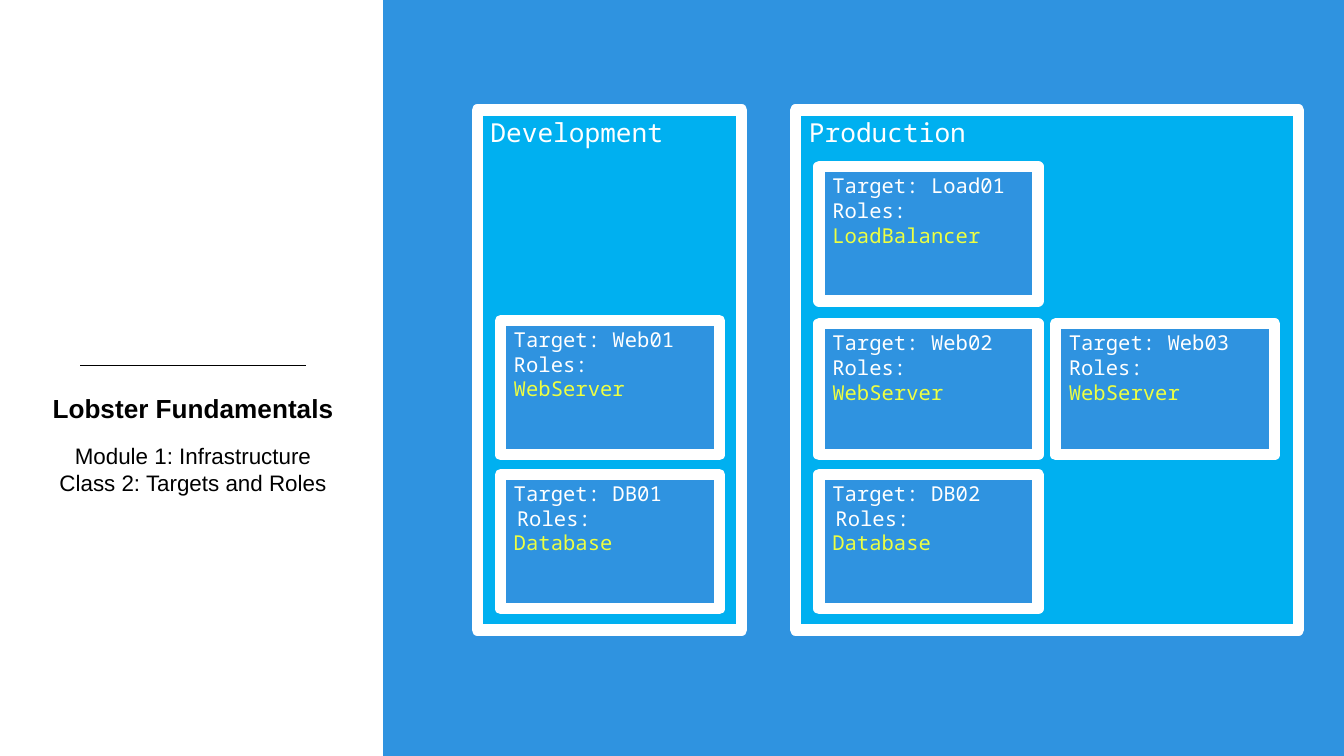
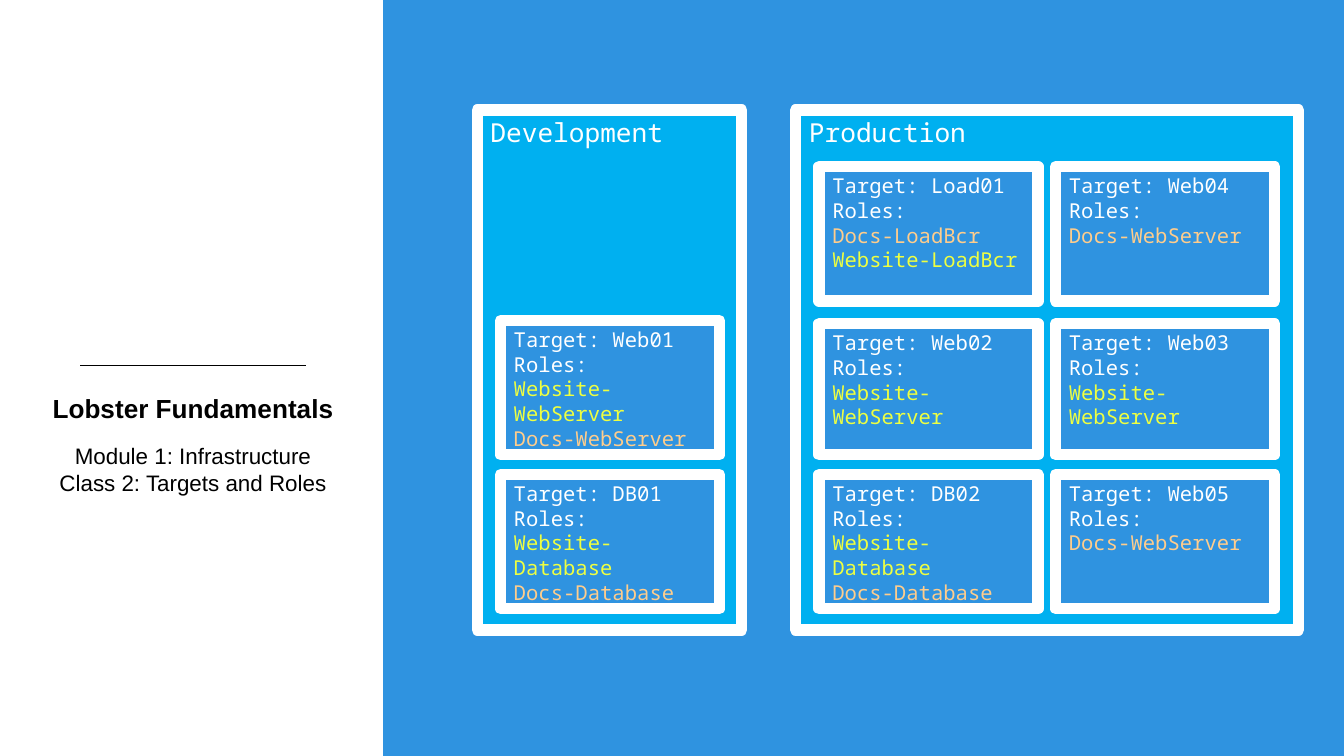
"""Build two slides that map deployment targets to roles in each environment."""
import pptx
import pptx.dml.color
import pptx.enum.shapes
import pptx.enum.text
import pptx.oxml
import pptx.util
from collections import namedtuple

Cm = pptx.util.Cm
Pt = pptx.util.Pt
Box = namedtuple("Box", "left top width height")
Environment = namedtuple("Environment", "name box middle_trim")
Target = namedtuple("Target", "name column row roles roles_indent", defaults=(0,))

COLORS = {
    "panel": "2F93E0",
    "environment": "00B0F0",
    "white": "FFFFFF",
    "black": "000000",
    "website": "EEFF41",
    "docs": "FFCD8C",
}
SANS = "Arial"
MONO = "Noto Sans Mono"
SLIDE = Box(0, 0, 25.4, 14.29)
SIDEBAR = Box(0, 0, 7.24, SLIDE.height)
PANEL = Box(SIDEBAR.width, 0, SLIDE.width - SIDEBAR.width, SLIDE.height)
DEVELOPMENT = Environment("Development", Box(9.02, 2.08, 5, 9.83), 0)
PRODUCTION = Environment("Production", Box(15.04, 2.08, 9.5, 9.83), 0.06)
CARD = Box(0.44, 1.07, 4.14, 2.54)
COLUMN_STEP = 4.47
ROW_STEP = 2.91

SIMPLE_ROLES = {
    DEVELOPMENT: [
        Target("Web01", 0, 1, [("WebServer", "website")]),
        Target("DB01", 0, 2, [("Database", "website")], 0.06),
    ],
    PRODUCTION: [
        Target("Load01", 0, 0, [("LoadBalancer", "website")]),
        Target("Web02", 0, 1, [("WebServer", "website")]),
        Target("Web03", 1, 1, [("WebServer", "website")]),
        Target("DB02", 0, 2, [("Database", "website")], 0.06),
    ],
}
WEBSITE_WEB = ("Website-WebServer", "website")
DOCS_WEB = ("Docs-WebServer", "docs")
DATABASES = [("Website-Database", "website"), ("Docs-Database", "docs")]
PROJECT_ROLES = {
    DEVELOPMENT: [
        Target("Web01", 0, 1, [WEBSITE_WEB, DOCS_WEB]),
        Target("DB01", 0, 2, DATABASES),
    ],
    PRODUCTION: [
        Target("Load01", 0, 0, [("Docs-LoadBcr", "docs"), ("Website-LoadBcr", "website")]),
        Target("Web04", 1, 0, [DOCS_WEB]),
        Target("Web02", 0, 1, [WEBSITE_WEB]),
        Target("Web03", 1, 1, [WEBSITE_WEB]),
        Target("DB02", 0, 2, DATABASES),
        Target("Web05", 1, 2, [DOCS_WEB]),
    ],
}


def color(name):
    """Return the named colour."""
    return pptx.dml.color.RGBColor.from_string(COLORS[name])


def add_span(para, text, size, font, tint, bold=False):
    """Add one formatted run to a paragraph."""
    span = para.add_run()
    span.text = text
    span.font.size = Pt(size)
    span.font.name = font
    span.font.bold = bold
    span.font.color.rgb = color(tint)


def add_lines(frame, lines, font, align):
    """Write one paragraph for each (text, size, colour, bold) line."""
    paras = []
    for index, (text, size, tint, bold) in enumerate(lines):
        para = frame.add_paragraph() if index else frame.paragraphs[0]
        para.alignment = align
        para.space_before = para.space_after = Pt(0)
        para.line_spacing = 1.0
        add_span(para, text, size, font, tint, bold)
        paras.append(para)
    return paras


def add_block(page, box, fill, border=None):
    """Add a rectangle with an optional thick border."""
    block = page.shapes.add_shape(
        pptx.enum.shapes.MSO_SHAPE.RECTANGLE, *(Cm(value) for value in box))
    block.shadow.inherit = False
    block.fill.solid()
    block.fill.fore_color.rgb = color(fill)
    if border:
        block.line.color.rgb = color(border)
        block.line.width = Pt(6)
    else:
        block.line.fill.background()
    return block


def add_labelled_block(page, box, fill, lines):
    """Add a white-bordered rectangle with text from its top left corner."""
    frame = add_block(page, box, fill, "white").text_frame
    frame.word_wrap = True
    frame.vertical_anchor = pptx.enum.text.MSO_ANCHOR.TOP
    return add_lines(frame, lines, MONO, pptx.enum.text.PP_ALIGN.LEFT)


def draw_sidebar(page, box):
    """Place the rule and the course title in the white sidebar."""
    rule = page.shapes.add_connector(
        pptx.enum.shapes.MSO_CONNECTOR.STRAIGHT,
        Cm(box.left + 1.52), Cm(box.top + 6.91), Cm(box.left + 5.79), Cm(box.top + 6.91))
    rule.line.color.rgb = color("black")
    rule.line.width = Pt(0.75)
    rule._element.spPr.append(pptx.oxml.parse_xml(
        '<a:effectLst xmlns:a="http://schemas.openxmlformats.org/drawingml/2006/main"/>'))

    title = page.shapes.title
    title.left, title.top = Cm(box.left + 0.64), Cm(box.top + 7.16)
    title.width, title.height = Cm(6.02), Cm(2.49)
    frame = title.text_frame
    frame.word_wrap = True
    frame.auto_size = pptx.enum.text.MSO_AUTO_SIZE.NONE
    frame.vertical_anchor = pptx.enum.text.MSO_ANCHOR.TOP
    frame.margin_left = frame.margin_right = Cm(0.25)
    frame.margin_top = frame.margin_bottom = Cm(0.25)
    lines = [
        ("Lobster Fundamentals", 14, "black", True),
        ("Module 1: Infrastructure", 12, "black", False),
        ("Class 2: Targets and Roles", 12, "black", False),
    ]
    heading = add_lines(frame, lines, SANS, pptx.enum.text.PP_ALIGN.CENTER)[0]
    heading.space_after = Pt(10)


def draw_target(page, box, target):
    """Place one target card with its roles."""
    lines = [(f"Target: {target.name}", 11, "white", False), ("Roles:", 11, "white", False)]
    lines += [(role, 11, tint, False) for role, tint in target.roles]
    paras = add_labelled_block(page, box, "panel", lines)
    if target.roles_indent:
        paras[1]._p.get_or_add_pPr().set("marL", str(Cm(target.roles_indent)))


def draw_environment(page, environment, targets):
    """Place an environment and the grid of its targets."""
    box = environment.box
    add_labelled_block(page, box, "environment", [(environment.name, 14, "white", False)])
    for target in targets:
        trim = environment.middle_trim if target.row == 1 else 0
        card = Box(
            box.left + CARD.left + target.column * COLUMN_STEP,
            box.top + CARD.top + target.row * ROW_STEP + trim,
            CARD.width,
            CARD.height - trim)
        draw_target(page, card, target)


def draw_page(deck, environments):
    """Add a slide with the sidebar, the panel and its environments."""
    page = deck.slides.add_slide(deck.slide_layouts.get_by_name("Title Only"))
    page.background.fill.solid()
    page.background.fill.fore_color.rgb = color("white")
    add_block(page, PANEL, "panel")
    draw_sidebar(page, SIDEBAR)
    for environment, targets in environments.items():
        draw_environment(page, environment, targets)


def main():
    """Build and save the deck."""
    deck = pptx.Presentation()
    deck.slide_width, deck.slide_height = Cm(SLIDE.width), Cm(SLIDE.height)
    for environments in (SIMPLE_ROLES, PROJECT_ROLES):
        draw_page(deck, environments)
    deck.save("out.pptx")


if __name__ == "__main__":
    main()
